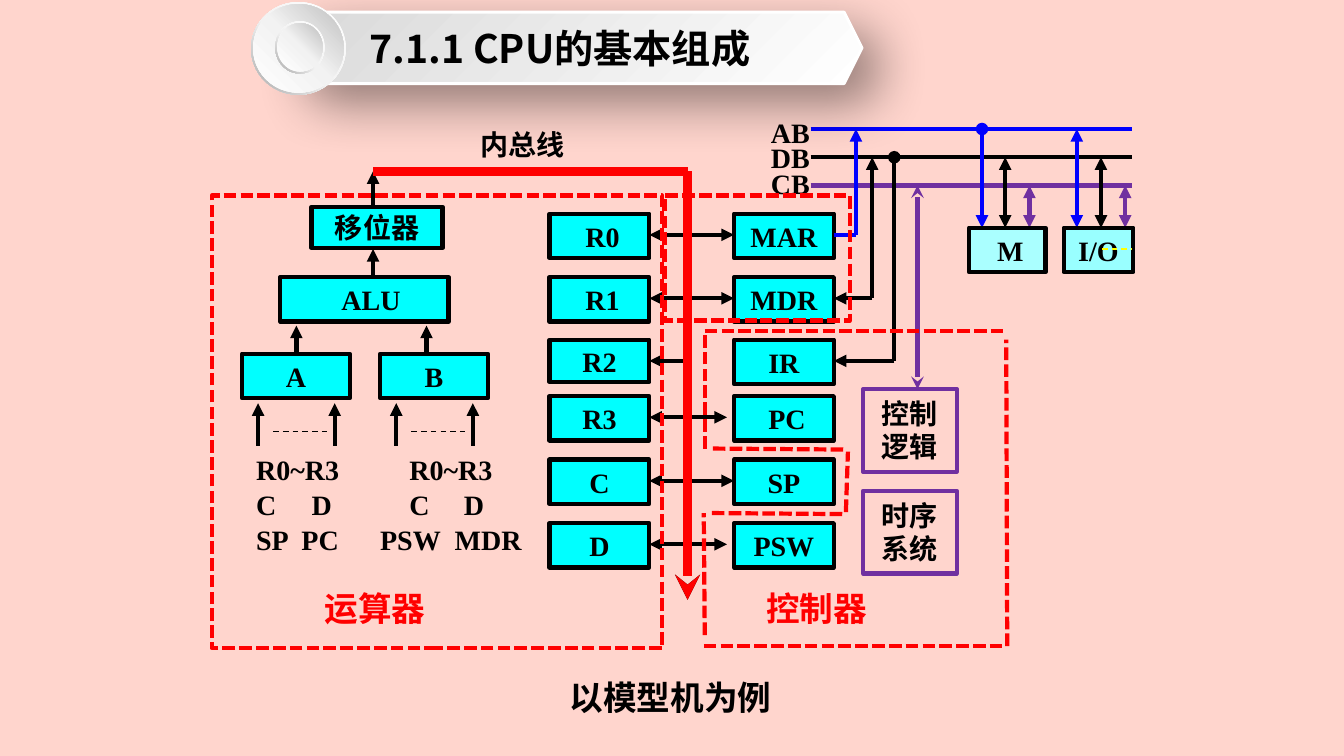
from lxml import etree
from pptx import Presentation
from pptx.dml.color import RGBColor
from pptx.enum.dml import MSO_LINE
from pptx.enum.shapes import MSO_CONNECTOR, MSO_SHAPE
from pptx.enum.text import MSO_ANCHOR, PP_ALIGN
from pptx.oxml.ns import qn
from pptx.util import Inches, Pt

STRAIGHT = MSO_CONNECTOR.STRAIGHT
RECT, HEXAGON = MSO_SHAPE.RECTANGLE, MSO_SHAPE.HEXAGON
DONUT, OVAL = MSO_SHAPE.DONUT, MSO_SHAPE.OVAL
DASH, SYS_DASH = MSO_LINE.DASH, MSO_LINE.SQUARE_DOT
CENTER, LEFT = PP_ALIGN.CENTER, PP_ALIGN.LEFT
MIDDLE, TOP = MSO_ANCHOR.MIDDLE, MSO_ANCHOR.TOP
SERIF, SANS = "Times New Roman", "Noto Sans CJK SC"
COLORS = {
    "background": "FFD5CD", "black": "000000", "red": "FF0000", "blue": "0000FF",
    "purple": "7030A0", "yellow": "FFFF00", "cyan": "00FFFF", "memory": "AAFFFF",
    "io": "99FFFF", "white": "FFFFFF", "pale": "F2F2F2", "light": "D9D9D9",
    "silver": "BFBFBF", "gray": "A6A6A6",
}


def rgb(name):
    return RGBColor.from_string(COLORS[name])


class Diagram:
    def __init__(self, slide):
        self.slide = slide
        self.shapes = slide.shapes
        slide.background.fill.solid()
        slide.background.fill.fore_color.rgb = rgb("background")

    def line(self, x1, y1, x2, y2, color="black", width=3, head=None, tail=None, dash=None):
        c = self.shapes.add_connector(STRAIGHT, Inches(x1), Inches(y1), Inches(x2), Inches(y2))
        self.stroke(c, color, width, dash)
        ln = c._element.spPr.find(qn("a:ln"))
        for tag, kind in (("a:headEnd", head), ("a:tailEnd", tail)):
            if kind:
                etree.SubElement(ln, qn(tag), type=kind)
        etree.SubElement(c._element.spPr, qn("a:effectLst"))

    def stroke(self, s, color, width, dash=None):
        s.line.color.rgb = rgb(color)
        s.line.width = Pt(width)
        if dash:
            s.line.dash_style = dash

    def shape(self, kind, x, y, w, h):
        s = self.shapes.add_shape(kind, Inches(x), Inches(y), Inches(w), Inches(h))
        s.shadow.inherit = False
        s.fill.background()
        s.line.fill.background()
        return s

    def box(self, text, x, y, w, h=0.44, fill="cyan", line="black", nudge=0, spacing=None):
        s = self.shape(RECT, x, y, w, h)
        if fill:
            s.fill.solid()
            s.fill.fore_color.rgb = rgb(fill)
        self.stroke(s, line, 3)
        self.set_text(s, [text], spacing=spacing)
        s.text_frame.margin_left = Inches(0.1 + nudge)

    def frame(self, x, y, w, h):
        self.stroke(self.shape(RECT, x, y, w, h), "red", 3, SYS_DASH)

    def gradient(self, s, angle, stops):
        s.fill.gradient()
        s.fill.gradient_angle = 360 - angle
        gs_list = s._element.spPr.find(qn("a:gradFill")).find(qn("a:gsLst"))
        for gs in list(gs_list):
            gs_list.remove(gs)
        for position, color in stops:
            gs = etree.SubElement(gs_list, qn("a:gs"), pos=str(position * 1000))
            etree.SubElement(gs, qn("a:srgbClr"), val=COLORS[color])

    def cast_shadow(self, s):
        effects = s._element.spPr.find(qn("a:effectLst"))
        shadow = etree.SubElement(effects, qn("a:outerShdw"), blurRad=str(Pt(38)),
                                  dist=str(Pt(19)), dir="2700000", algn="tl", rotWithShape="0")
        color = etree.SubElement(shadow, qn("a:srgbClr"), val=COLORS["black"])
        etree.SubElement(color, qn("a:alpha"), val="42000")

    def label(self, lines, x, y, w, h=0.44, anchor=MIDDLE, **style):
        s = self.shapes.add_textbox(Inches(x), Inches(y), Inches(w), Inches(h))
        self.set_text(s, lines, **style)
        tf = s.text_frame
        tf.vertical_anchor = anchor
        tf.margin_left = tf.margin_right = 0

    def set_text(self, s, lines, size=20, color="black", font=SERIF, align=CENTER,
                 spacing=None, tabs=None):
        tf = s.text_frame
        tf.word_wrap = True
        tf.vertical_anchor = MIDDLE
        tf.margin_top = tf.margin_bottom = 0
        tf.text = "\n".join(lines)
        for i, p in enumerate(tf.paragraphs):
            p.alignment = align
            if spacing:
                p.line_spacing = Pt(spacing)
            if tabs:
                stops = etree.SubElement(p._p.get_or_add_pPr(), qn("a:tabLst"))
                for stop in tabs[i]:
                    etree.SubElement(stops, qn("a:tab"), pos=str(Inches(stop)), algn="l")
            for r in p.runs:
                r.font.size = Pt(size)
                r.font.bold = True
                r.font.color.rgb = rgb(color)
                r.font.name = font
                etree.SubElement(r._r.get_or_add_rPr(), qn("a:ea"), typeface=SANS)

    def bus(self, color):
        self.line(3.7, 1.7, 6.82, 1.7, color, 6)
        self.line(6.82, 1.7, 6.82, 5.95, color, 6, tail="stealth")


def draw_alu(d):
    for x, start, end in ((2.94, 3.51, 3.23), (4.23, 3.51, 3.23), (3.7, 2.74, 2.47),
                          (3.7, 2.05, 1.7), (2.56, 4.42, 4), (3.32, 4.42, 4),
                          (3.93, 4.42, 4), (4.69, 4.42, 4)):
        d.line(x, start, x, end, tail="triangle")
    for x in (2.71, 4.08):
        d.line(x, 4.28, x + 0.53, 4.28, width=1, dash=DASH)
    d.box("移位器", 3.09, 2.05, 1.3, 0.41)
    d.box("ALU", 2.78, 2.75, 1.67, nudge=0.13)
    d.box("A", 2.4, 3.51, 1.07)
    d.box("B", 3.77, 3.51, 1.07)
    sources = (("R0~R3", "R0~R3"), ("C", "D", "C", "D"), ("SP", "PC", "PSW", "MDR"))
    d.label(["\t".join(row) for row in sources], 2.54, 4.48, 2.83, 1.04, TOP, align=LEFT,
            spacing=24.8, tabs=((1.52,), (0.55, 1.52, 2.06), (0.45, 1.23, 1.97)))


def draw_registers(d):
    d.bus("black")
    rows = (("R0", "MAR", 2.12, 7.28), ("R1", "MDR", 2.75, 7.28), ("R2", "IR", 3.37, 6.82),
            ("R3", "PC", 3.93, 7.21), ("C", "SP", 4.56, 7.28), ("D", "PSW", 5.19, 7.21))
    for left, right, y, start in rows:
        head = None if left == "R2" else "triangle"
        d.line(start, y + 0.21, 6.44, y + 0.21, head=head, tail="triangle")
        d.box(left, 5.45, y, 0.99, 0.42 if left == "R2" else 0.44,
              nudge=0.06 if left in ("R0", "R1") else 0)
        d.box(right, 7.28, y, 0.99, nudge=0.06 if right == "PC" else 0)


def draw_system_buses(d):
    buses = (("AB", "blue"), ("DB", "black"), ("CB", "purple"))
    for i, (name, color) in enumerate(buses):
        y = 1.28 + 0.28 * i
        d.line(8.04, y, 11.23, y, color)
        d.label([name], 7.42, 1.09 + 0.255 * i, 0.84)
    drops = ((9.74, 1.28, "blue", "oval"), (9.97, 1.56, "black", "triangle"),
             (10.21, 1.84, "purple", "triangle"), (10.68, 1.28, "blue", "triangle"),
             (10.92, 1.56, "black", "triangle"), (11.16, 1.84, "purple", "triangle"))
    for x, y, color, head in drops:
        d.line(x, y, x, 2.26, color, head=head, tail="triangle")
    d.line(8.27, 2.33, 8.49, 2.33, "blue")
    d.line(8.49, 2.33, 8.49, 1.28, "blue", tail="triangle")
    d.line(8.65, 2.96, 8.27, 2.96, tail="triangle")
    d.line(8.65, 2.96, 8.65, 1.56, tail="triangle")
    d.line(8.87, 1.56, 8.87, 3.58, head="oval")
    d.line(8.87, 3.58, 8.27, 3.58, tail="triangle")
    d.line(9.1, 1.84, 9.1, 3.86, "purple", head="stealth", tail="stealth")
    d.box("M", 9.61, 2.26, 0.76, fill="memory", nudge=0.06)
    d.box("I/O", 10.55, 2.26, 0.69, fill="io")
    d.line(10.93, 2.47, 11.23, 2.47, "yellow", 1, dash=DASH)
    for text, y in (("控制逻辑", 3.86), ("时序系统", 4.87)):
        d.box(text, 8.56, y, 0.93, 0.82, None, "purple", spacing=23.6)


def draw_regions(d):
    d.bus("red")
    controller = ((6.99, 3.28, 9.99, 3.28), (6.98, 6.41, 9.97, 6.41), (9.99, 6.41, 9.98, 3.37),
                  (6.99, 4.45, 6.99, 3.3), (7.07, 4.45, 8.38, 4.46), (8.39, 5.08, 8.41, 4.48),
                  (7.06, 5.09, 8.37, 5.1), (6.99, 6.3, 6.98, 5.09))
    for ends in controller:
        d.line(*ends, "red", dash=SYS_DASH)
    d.frame(2.1, 1.94, 4.47, 4.49)
    d.frame(6.59, 1.94, 1.84, 1.24)
    d.label(["内总线"], 4.38, 1.21, 1.6)
    d.label(["运算器"], 3.12, 5.8, 1.2, 0.46, size=24, color="red", font=SANS)
    d.label(["控制器"], 7.5, 5.8, 1.2, 0.46, size=24, color="red", font=SANS)
    d.label(["以模型机为例"], 5.55, 6.68, 2.2, 0.47, size=24)


def draw_banner(d):
    s = d.shape(HEXAGON, 2.81, 0.12, 5.74, 0.71)
    d.gradient(s, 225, ((0, "white"), (100, "light")))
    d.stroke(s, "white", 2)
    d.cast_shadow(s)
    d.set_text(s, ["7.1.1 CPU的基本组成"], size=28, font=SANS)
    s.text_frame.margin_right = Inches(0.35)
    for x, y, w, h in ((2.49, 0.02, 0.94, 0.92), (2.73, 0.21, 0.49, 0.52)):
        ring = d.shape(DONUT, x, y, w, h)
        ring.adjustments[0] = 0.049
        d.gradient(ring, 135, ((0, "white"), (55, "pale"), (100, "gray")))
        disc = d.shape(OVAL, x + 0.02, y + 0.02, w - 0.04, h - 0.04)
        d.gradient(disc, 315, ((0, "white"), (51, "pale"), (100, "silver")))


def main():
    prs = Presentation()
    prs.slide_width, prs.slide_height = Inches(13.33), Inches(7.5)
    d = Diagram(prs.slides.add_slide(prs.slide_layouts[6]))
    for draw in (draw_alu, draw_registers, draw_system_buses, draw_regions, draw_banner):
        draw(d)
    prs.save("out.pptx")


if __name__ == "__main__":
    main()
